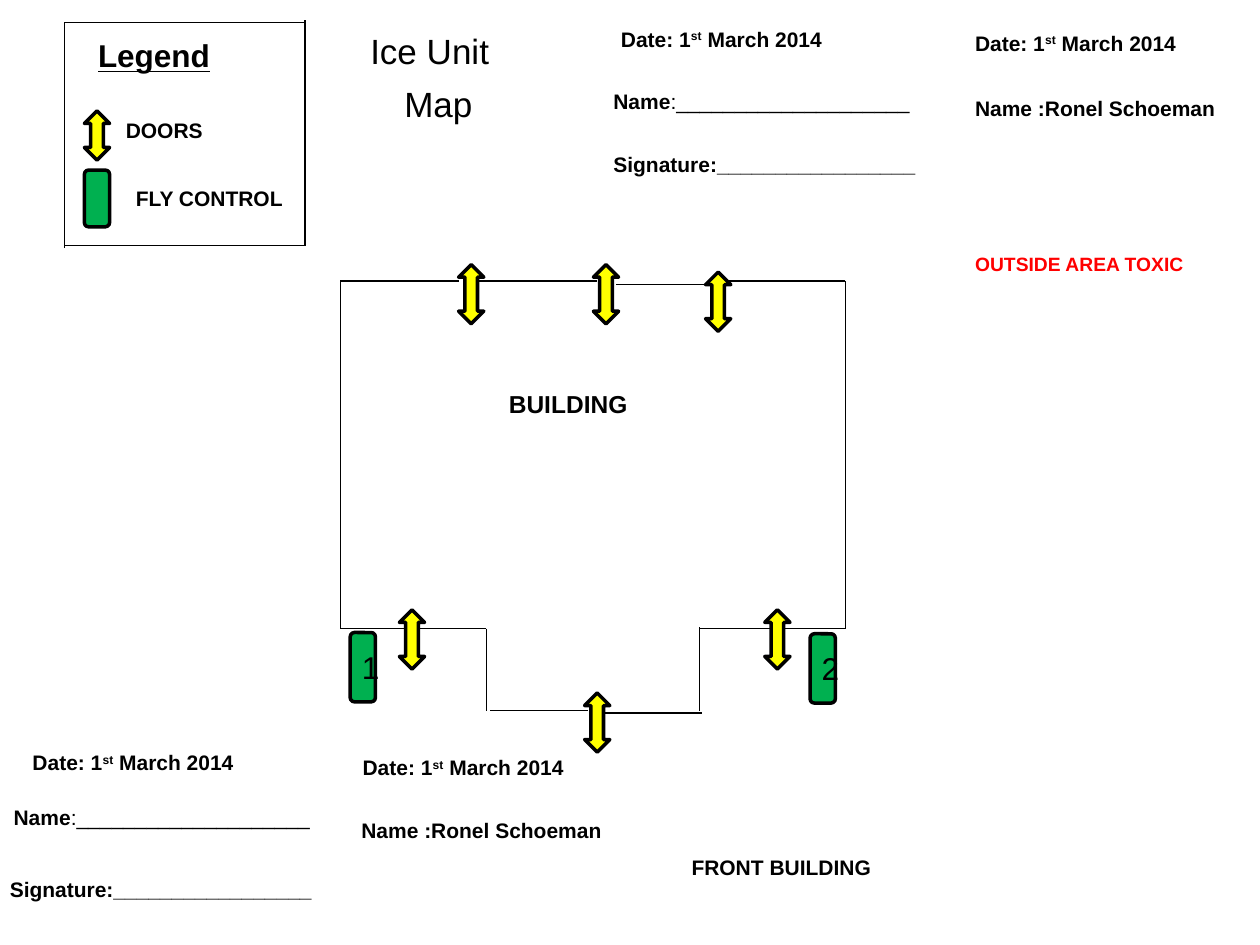
from pptx import Presentation
from pptx.dml.color import RGBColor
from pptx.enum.shapes import MSO_CONNECTOR as Conn, MSO_SHAPE as Shape
from pptx.enum.text import MSO_ANCHOR as Anchor, PP_ALIGN as Align
from pptx.oxml.ns import qn
from pptx.util import Emu, Pt
from lxml.etree import SubElement

BLACK = RGBColor(0, 0, 0)
RED = RGBColor(255, 0, 0)
YELLOW = RGBColor(255, 255, 0)
GREEN = RGBColor(0, 176, 80)
FONT = "Arial"
SCALE = 9144

DATE = [("Date: 1", "b"), ("st", "bs"), (" March 2014", "b")]
NAME = [("Name", "b"), (":" + "_" * 20, "")]
SIGN = [("Signature:" + "_" * 17, "b")]
OWNER = [("Name :Ronel Schoeman", "b")]

LABELS = [
    (DATE, 483, 16, 236), (NAME, 477, 65, 270), (SIGN, 477, 115, 270),
    (DATE, 764, 19, 236), (OWNER, 764, 71, 230),
    (DATE, 16, 590, 236), (NAME, 1, 634, 270), (SIGN, -2, 691, 270),
    (DATE, 278, 594, 236), (OWNER, 277, 644, 230),
    ([("DOORS", "b")], 90, 88, 97),
    ([("FLY CONTROL", "b")], 98, 142, 244),
    ([("FRONT BUILDING", "b")], 539, 673, 237),
]
LEGEND = [
    (242, 16, 242, 195), (51, 18, 51, 197),
    (51, 18, 242, 18), (51, 195, 242, 195),
]
WALLS = [
    (270, 223, 270, 499), (671, 223, 671, 499),
    (270, 223, 364, 223), (380, 223, 474, 223),
    (489, 226, 560, 226), (577, 223, 671, 223),
    (270, 499, 386, 499), (555, 499, 671, 499),
    (386, 499, 386, 564), (555, 498, 555, 564),
    (389, 564, 467, 564), (479, 566, 557, 566),
]
DOORS = [
    (364, 210), (471, 210), (560, 216),
    (317, 484), (607, 484), (464, 550),
]
TRAPS = [("", 67, 135, 45), ("1", 278, 502, 55), ("2", 643, 503, 55)]

prs = Presentation()
prs.slide_width, prs.slide_height = Emu(1000 * SCALE), Emu(750 * SCALE)
slide = prs.slides.add_slide(prs.slide_layouts[6])
shapes = slide.shapes


def px(*nums):
    return [Emu(n * SCALE) for n in nums]


def write(para, runs, size=12, color=BLACK, line=False):
    for text, marks in runs:
        run = para.add_run()
        run.text = text
        font = run.font
        font.name, font.size = FONT, Pt(size)
        font.bold, font.underline = "b" in marks, line
        font.color.rgb = color
        if "s" in marks:
            run._r.get_or_add_rPr().set("baseline", "30000")


def label(runs, x, y, w, h=30, **look):
    frame = shapes.add_textbox(*px(x, y, w, h)).text_frame
    frame.word_wrap = True
    write(frame.paragraphs[0], runs, **look)
    return frame


def wall(*ends):
    line = shapes.add_connector(Conn.STRAIGHT, *px(*ends))
    line.line.color.rgb, line.line.width = BLACK, Pt(0.75)
    SubElement(line._element.spPr, qn("a:effectLst"))


def block(kind, x, y, h, fill):
    item = shapes.add_shape(kind, *px(x, y, 20, h))
    item.shadow.inherit = False
    item.fill.solid()
    item.fill.fore_color.rgb = fill
    item.line.color.rgb, item.line.width = BLACK, Pt(2)
    return item


title = label([("Ice Unit", "")], 274, 7, 441, 97, size=20)
title.vertical_anchor = Anchor.BOTTOM
second = title.add_paragraph()
second.space_before = Pt(6.7)
write(second, [("Map", "")], size=20)
for para, indent in zip(title.paragraphs, (10, 37)):
    props = para._p.get_or_add_pPr()
    props.set("marL", str(indent * SCALE))
    props.set("indent", "0")

for ends in LEGEND + WALLS:
    wall(*ends)

block(Shape.UP_DOWN_ARROW, 67, 88, 39, YELLOW)
for x, y in DOORS:
    block(Shape.UP_DOWN_ARROW, x, y, 47, YELLOW)

for num, x, y, h in TRAPS:
    trap = block(Shape.ROUNDED_RECTANGLE, x, y, h, GREEN)
    if num:
        frame = trap.text_frame
        frame.word_wrap = True
        frame.vertical_anchor = Anchor.MIDDLE
        frame.paragraphs[0].alignment = Align.CENTER
        write(frame.paragraphs[0], [(num, "")], size=18)

label([("Legend", "b")], 68, 24, 130, 40, size=18, line=True)
label([("OUTSIDE AREA TOXIC", "b")], 764, 195, 188, 29, size=11, color=RED)
label([("BUILDING", "b")], 394, 304, 147, 34, size=14)
for spot in LABELS:
    label(*spot)

prs.save("out.pptx")
